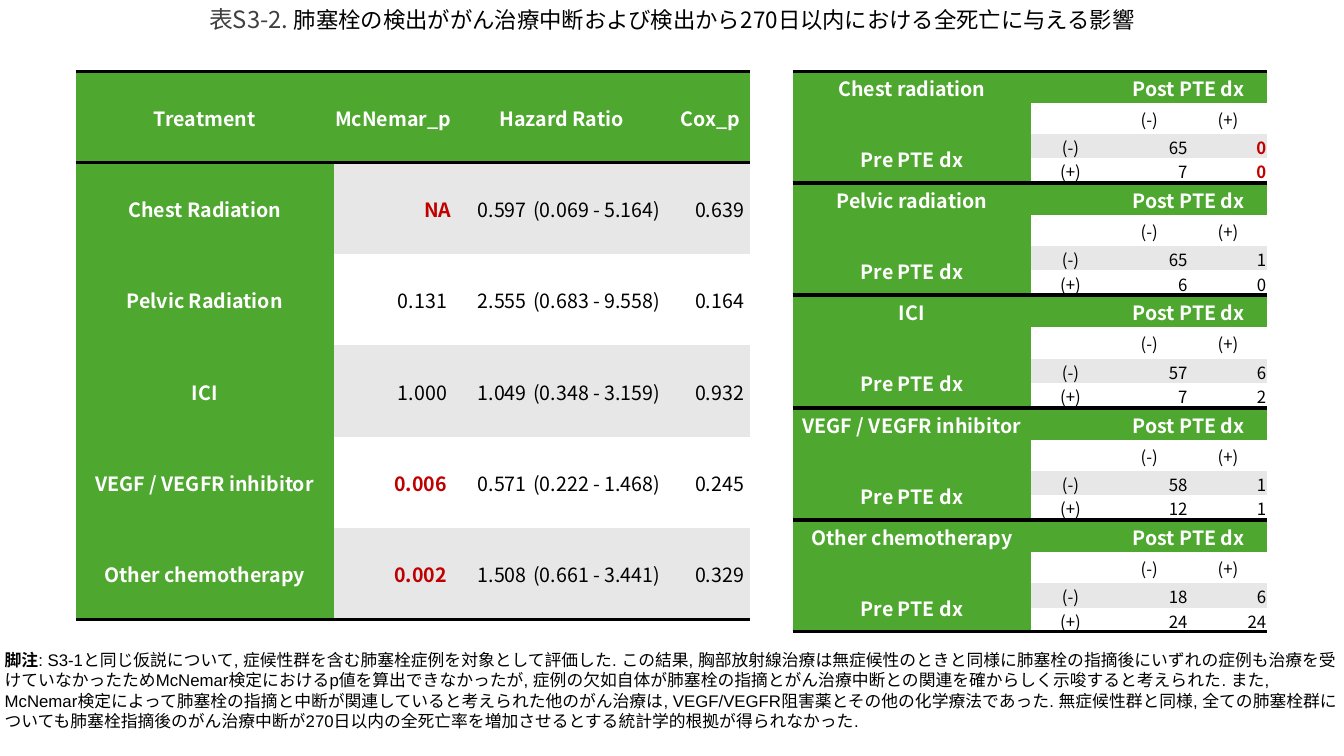
from lxml import etree
from pptx import Presentation
from pptx.dml.color import RGBColor
from pptx.enum.text import MSO_ANCHOR, MSO_AUTO_SIZE, PP_ALIGN
from pptx.oxml.ns import qn
from pptx.util import Pt

PX = 9525
LEFT, CENTER, RIGHT = PP_ALIGN.LEFT, PP_ALIGN.CENTER, PP_ALIGN.RIGHT
TOP, MIDDLE = MSO_ANCHOR.TOP, MSO_ANCHOR.MIDDLE
GROW = MSO_AUTO_SIZE.SHAPE_TO_FIT_TEXT
PLAIN_TABLE = "{2D5ABB26-0587-4C30-8999-92F81FD0307C}"
SANS, LATIN = "Noto Sans CJK JP", "Arial"
COLORS = {
    "green": "4EA72E", "gray": "E7E7E7", "white": "FFFFFF",
    "black": "000000", "red": "C00000", "label": "404040",
}

TREATMENT_HEADS = ["Treatment", "McNemar_p", "Hazard Ratio", "", "Cox_p"]
TREATMENTS = [
    ["Chest Radiation", "NA", "0.597 ", "(0.069 - 5.164)", "0.639 "],
    ["Pelvic Radiation", "0.131 ", "2.555 ", "(0.683 - 9.558)", "0.164 "],
    ["ICI", "1.000 ", "1.049 ", "(0.348 - 3.159)", "0.932 "],
    ["VEGF / VEGFR inhibitor", "0.006 ", "0.571 ", "(0.222 - 1.468)", "0.245 "],
    ["Other chemotherapy", "0.002 ", "1.508 ", "(0.661 - 3.441)", "0.329 "],
]
SIGNIFICANT = {"NA", "0.006 ", "0.002 "}
CROSS_COUNTS = [
    ("Chest radiation", [("65", "0"), ("7", "0")]),
    ("Pelvic radiation", [("65", "1"), ("6", "0")]),
    ("ICI", [("57", "6"), ("7", "2")]),
    ("VEGF / VEGFR inhibitor", [("58", "1"), ("12", "1")]),
    ("Other chemotherapy", [("18", "6"), ("24", "24")]),
]
FOOTNOTE = (
    ": S3-1と同じ仮説について, 症候性群を含む肺塞栓症例を対象として評価した. "
    "この結果, 胸部放射線治療は無症候性のときと同様に肺塞栓の指摘後にいずれの症例も治療を受けていなかったため"
    "McNemar検定におけるp値を算出できなかったが, "
    "症例の欠如自体が肺塞栓の指摘とがん治療中断との関連を確からしく示唆すると考えられた. "
    "また, McNemar検定によって肺塞栓の指摘と中断が関連していると考えられた他のがん治療は, "
    "VEGF/VEGFR阻害薬とその他の化学療法であった. "
    "無症候性群と同様, 全ての肺塞栓群についても肺塞栓指摘後のがん治療中断が"
    "270日以内の全死亡率を増加させるとする統計学的根拠が得られなかった."
)


def add_text(paragraph, text, size=14, color="black", bold=False, font=SANS, align=LEFT):
    paragraph.alignment = align
    run = paragraph.add_run()
    run.text = text
    run.font.size = Pt(size)
    run.font.bold = bold
    run.font.name = font
    run.font.color.rgb = RGBColor.from_string(COLORS[color])
    east_asian = etree.Element(qn("a:ea"), typeface=font)
    run.font._element.find(qn("a:latin")).addnext(east_asian)


def add_border(cell, side):
    line = etree.SubElement(cell._tc.get_or_add_tcPr(), qn(f"a:{side}"), w=str(Pt(2)))
    fill = etree.SubElement(line, qn("a:solidFill"))
    etree.SubElement(fill, qn("a:srgbClr"), val=COLORS["black"])


def fill_cell(cell, text, fill, borders=(), **text_format):
    cell.margin_left = cell.margin_right = cell.margin_top = PX
    cell.margin_bottom = 0
    cell.vertical_anchor = MIDDLE
    for side in borders:
        add_border(cell, side)
    cell.fill.solid()
    cell.fill.fore_color.rgb = RGBColor.from_string(COLORS[fill])
    if text:
        add_text(cell.text_frame.paragraphs[0], text, **text_format)


def add_grid(slide, left, top, widths, heights):
    frame = slide.shapes.add_table(
        len(heights), len(widths), left * PX, top * PX, sum(widths) * PX, sum(heights) * PX)
    frame.element.find(f".//{qn('a:tableStyleId')}").text = PLAIN_TABLE
    grid = frame.table
    grid.first_row = grid.horz_banding = False
    for column, width in zip(grid.columns, widths):
        column.width = width * PX
    for row, height in zip(grid.rows, heights):
        row.height = height * PX
    return grid


def add_treatments(slide):
    grid = add_grid(slide, 72, 68, [246, 113, 76, 132, 75], [87] * 6)
    grid.cell(0, 2).merge(grid.cell(0, 3))
    heading = {"color": "white", "bold": True, "align": CENTER}
    for col, head in enumerate(TREATMENT_HEADS):
        fill_cell(grid.cell(0, col), head, "green", ("lnT", "lnB"), **heading)
    aligns = [CENTER, RIGHT, RIGHT, LEFT, RIGHT]
    for row, values in enumerate(TREATMENTS, 1):
        borders = ("lnB",) if row == len(TREATMENTS) else ()
        fill_cell(grid.cell(row, 0), values[0], "green", borders, **heading)
        for col in range(1, 5):
            red = values[col] in SIGNIFICANT
            fill_cell(grid.cell(row, col), values[col], "gray" if row % 2 else "white", borders,
                      color="red" if red else "black", bold=red, align=aligns[col])


def add_cross_table(slide, top, treatment, counts):
    grid = add_grid(slide, 755, top, [227, 75, 75, 75], [25, 23, 23, 23])
    grid.cell(0, 2).merge(grid.cell(0, 3))
    grid.cell(2, 0).merge(grid.cell(3, 0))
    heading = {"color": "white", "bold": True, "align": CENTER}
    for col, head in enumerate([treatment, "", "Post PTE dx", ""]):
        fill_cell(grid.cell(0, col), head, "green", ("lnT",), **heading)
    for row, (head, borders) in enumerate([("", ()), ("Pre PTE dx", ("lnB",)), ("", ("lnB",))], 1):
        fill_cell(grid.cell(row, 0), head, "green", borders, **heading)
    for col, sign in enumerate(["", "(-)", "(+)"], 1):
        fill_cell(grid.cell(1, col), sign, "white", size=12, align=CENTER)
    for row, sign, fill, borders in [(2, "(-)", "gray", ()), (3, "(+)", "white", ("lnB",))]:
        fill_cell(grid.cell(row, 1), sign, fill, borders, size=12, align=CENTER)
        for col, count in enumerate(counts[row - 2], 2):
            red = treatment == "Chest radiation" and count == "0"
            fill_cell(grid.cell(row, col), count, fill, borders, size=12,
                      color="red" if red else "black", bold=red, align=RIGHT)


def place_text(shape, left, top, width, height, anchor):
    shape.left, shape.top = left * PX, top * PX
    shape.width, shape.height = width * PX, height * PX
    frame = shape.text_frame
    frame.word_wrap = True
    frame.auto_size = GROW
    frame.vertical_anchor = anchor
    return frame.paragraphs[0]


def add_title(slide):
    title = place_text(slide.shapes.title, 0, 0, 1280, 37, TOP)
    add_text(title, "表S3-2. ", size=17, color="label", align=CENTER)
    add_text(title, "肺塞栓の検出ががん治療中断および検出から270日以内における全死亡に与える影響",
             size=16, align=CENTER)


def add_footnote(slide):
    footnote = place_text(slide.shapes.add_textbox(0, 0, PX, PX), -5, 614, 1289, 87, MIDDLE)
    add_text(footnote, "脚注", size=12, bold=True, font=LATIN)
    add_text(footnote, FOOTNOTE, size=12, font=LATIN)


def main():
    deck = Presentation()
    deck.slide_width, deck.slide_height = 1280 * PX, 720 * PX
    slide = deck.slides.add_slide(deck.slide_layouts[5])
    add_treatments(slide)
    for index, (treatment, counts) in enumerate(CROSS_COUNTS):
        add_cross_table(slide, 68 + 107 * index, treatment, counts)
    add_title(slide)
    add_footnote(slide)
    deck.save("out.pptx")


if __name__ == "__main__":
    main()
